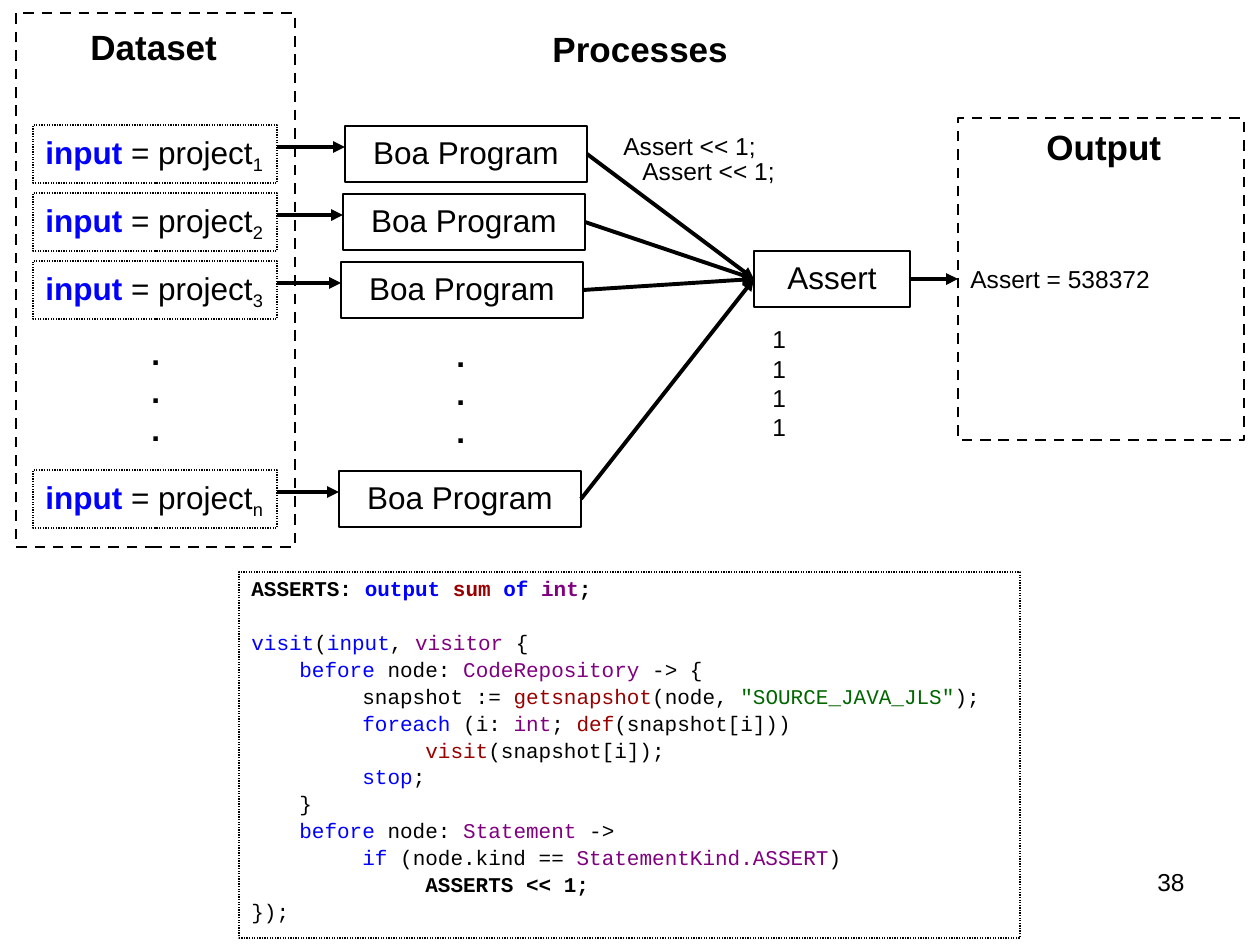
from lxml.etree import SubElement
from pptx import Presentation
from pptx.dml.color import RGBColor
from pptx.enum.dml import MSO_LINE
from pptx.enum.shapes import MSO_CONNECTOR, MSO_SHAPE
from pptx.enum.text import MSO_ANCHOR, PP_ALIGN
from pptx.oxml.ns import qn
from pptx.util import Pt

PX = 914400 / 126
BLACK = RGBColor(0, 0, 0)
WHITE = RGBColor(255, 255, 255)
BLUE = RGBColor(0, 0, 255)
RED = RGBColor(0x99, 0, 0)
PURPLE = RGBColor(0x80, 0, 0x80)
GREEN = RGBColor(0, 0x66, 0)

prs = Presentation()
prs.slide_width, prs.slide_height = round(1260 * PX), round(945 * PX)
s = prs.slides.add_slide(prs.slide_layouts[6])


def add_box(x, y, w, h, lines=(), size=18, bold=False, align=PP_ALIGN.LEFT,
            line=None, dash=None, fill=None, wrap=False, spacing=None):
    """Add a rectangle when line has a width in points, else a text box."""
    place = [round(v * PX) for v in (x, y, w, h)]
    if line:
        sp = s.shapes.add_shape(MSO_SHAPE.RECTANGLE, *place)
        sp.shadow.inherit = False
        sp.line.color.rgb = BLACK
        sp.line.width = Pt(line)
        sp.line.dash_style = dash
        if fill:
            sp.fill.solid()
            sp.fill.fore_color.rgb = fill
        else:
            sp.fill.background()
    else:
        sp = s.shapes.add_textbox(*place)
    tf = sp.text_frame
    tf.word_wrap = wrap
    tf.vertical_anchor = MSO_ANCHOR.MIDDLE if line else MSO_ANCHOR.TOP
    for i, text in enumerate(lines):
        p = tf.add_paragraph() if i else tf.paragraphs[0]
        p.alignment = align
        p.line_spacing = spacing
        p.font.name, p.font.size, p.font.bold = "Arial", Pt(size), bold
        p.font.color.rgb = BLACK
        p.add_run().text = text
    return sp


def add_arrow(start, end, joins=()):
    """Draw an arrow; joins holds the start and end shapes, side 3 to side 1."""
    points = [round(v * PX) for v in (*start, *end)]
    c = s.shapes.add_connector(MSO_CONNECTOR.STRAIGHT, *points)
    if joins:
        c.begin_connect(joins[0], 3)
        c.end_connect(joins[1], 1)
    c.line.color.rgb = BLACK
    c.line.width = Pt(2.25)
    SubElement(c.line._get_or_add_ln(), qn("a:tailEnd"), type="triangle")
    SubElement(c._element.spPr, qn("a:effectLst"))


# Frames and headings
add_box(16, 13, 279, 534, line=1.5, dash=MSO_LINE.DASH)
output = add_box(958, 118, 286, 322, ["Assert = 538372"], 14, line=1.5,
                 dash=MSO_LINE.DASH, wrap=True)
for x, y, w, title in [(78, 19, 160, "Dataset"), (540, 21, 210, "Processes"),
                       (1034, 119, 144, "Output")]:
    add_box(x, y, w, 54, [title], 20, True)

# One row per project: input, program and the arrow into the shared counter
counter = add_box(754, 251, 156, 56, ["Assert"], align=PP_ALIGN.CENTER,
                  line=1.5, fill=WHITE, wrap=True, spacing=0.9)
for index, y, x in [("1", 125, 345), ("2", 193, 343), ("3", 261, 341), ("n", 470, 339)]:
    project = add_box(33, y, 244, 58, ["input "], line=0.75, dash=MSO_LINE.ROUND_DOT)
    p = project.text_frame.paragraphs[0]
    p.runs[0].font.bold = True
    p.runs[0].font.color.rgb = BLUE
    p.add_run().text = "= project"
    r = p.add_run()
    r.text = index
    r._r.get_or_add_rPr().set("baseline", "-25000")
    program = add_box(x, y + 1, 242, 56, ["Boa Program"], align=PP_ALIGN.CENTER,
                      line=1.5, fill=WHITE, wrap=True, spacing=0.9)
    add_arrow((277, y + 22), (x, y + 22))
    add_arrow((x + 242, y + 29), (754, 279), (program, counter))
add_arrow((910, 279), (958, 279), (counter, output))

for x, y in [(139, 328), (444, 330)]:
    add_box(x, y, 34, 126, ["."] * 3, bold=True)

# Emitted values
for x, y in [(611, 125), (630, 150)]:
    add_box(x, y, 159, 43, ["Assert << 1;"], 14)
add_box(760, 318, 39, 131, ["1"] * 4, 14)

# Code: indent depth, space before in points, bold, coloured pieces
GAP = 2.4
CODE = [
    (0, 0, True, [("ASSERTS: ", BLACK), ("output ", BLUE), ("sum ", RED), ("of ", BLUE),
                  ("int", PURPLE), (";", BLACK)]),
    (0, 18, False, [("visit", BLUE), ("(", BLACK), ("input", BLUE), (", ", BLACK),
                    ("visitor", PURPLE), (" {", BLACK)]),
    (1, GAP, False, [("before", BLUE), (" node: ", BLACK), ("CodeRepository ", PURPLE),
                     ("-> {", BLACK)]),
    (2, GAP, False, [("snapshot := ", BLACK), ("getsnapshot", RED), ("(node, ", BLACK),
                     ('"SOURCE_JAVA_JLS"', GREEN), (");", BLACK)]),
    (2, GAP, False, [("foreach ", BLUE), ("(i: ", BLACK), ("int", PURPLE), ("; ", BLACK),
                     ("def", RED), ("(snapshot[i]))", BLACK)]),
    (3, GAP, False, [("visit", RED), ("(snapshot[i]);", BLACK)]),
    (2, GAP, False, [("stop", BLUE), (";", BLACK)]),
    (1, GAP, False, [("}", BLACK)]),
    (1, GAP, False, [("before", BLUE), (" node: ", BLACK), ("Statement", PURPLE),
                     (" ->", BLACK)]),
    (2, GAP, False, [("if", BLUE), (" (node.kind == ", BLACK),
                     ("StatementKind.ASSERT", PURPLE), (")", BLACK)]),
    (3, GAP, True, [("ASSERTS << 1;", BLACK)]),
    (0, GAP, False, [("});", BLACK)]),
]
INDENTS = [0, 48, 111, 174]
code = add_box(239, 572, 781, 366, line=0.75, dash=MSO_LINE.ROUND_DOT, fill=WHITE, wrap=True)
tf = code.text_frame
tf.vertical_anchor = MSO_ANCHOR.TOP
for i, (depth, space, bold, pieces) in enumerate(CODE):
    p = tf.add_paragraph() if i else tf.paragraphs[0]
    p.alignment = PP_ALIGN.LEFT
    p.line_spacing = 0.9
    p.space_before = Pt(space)
    p._p.get_or_add_pPr().set("marL", str(round(INDENTS[depth] * PX)))
    p.font.name, p.font.size, p.font.bold = "Courier New", Pt(12), bold
    for text, color in pieces:
        r = p.add_run()
        r.text = text
        r.font.color.rgb = color

# Page number
add_box(903, 861, 294, 66, ["38"], 14, align=PP_ALIGN.RIGHT, wrap=True)

prs.save("out.pptx")
